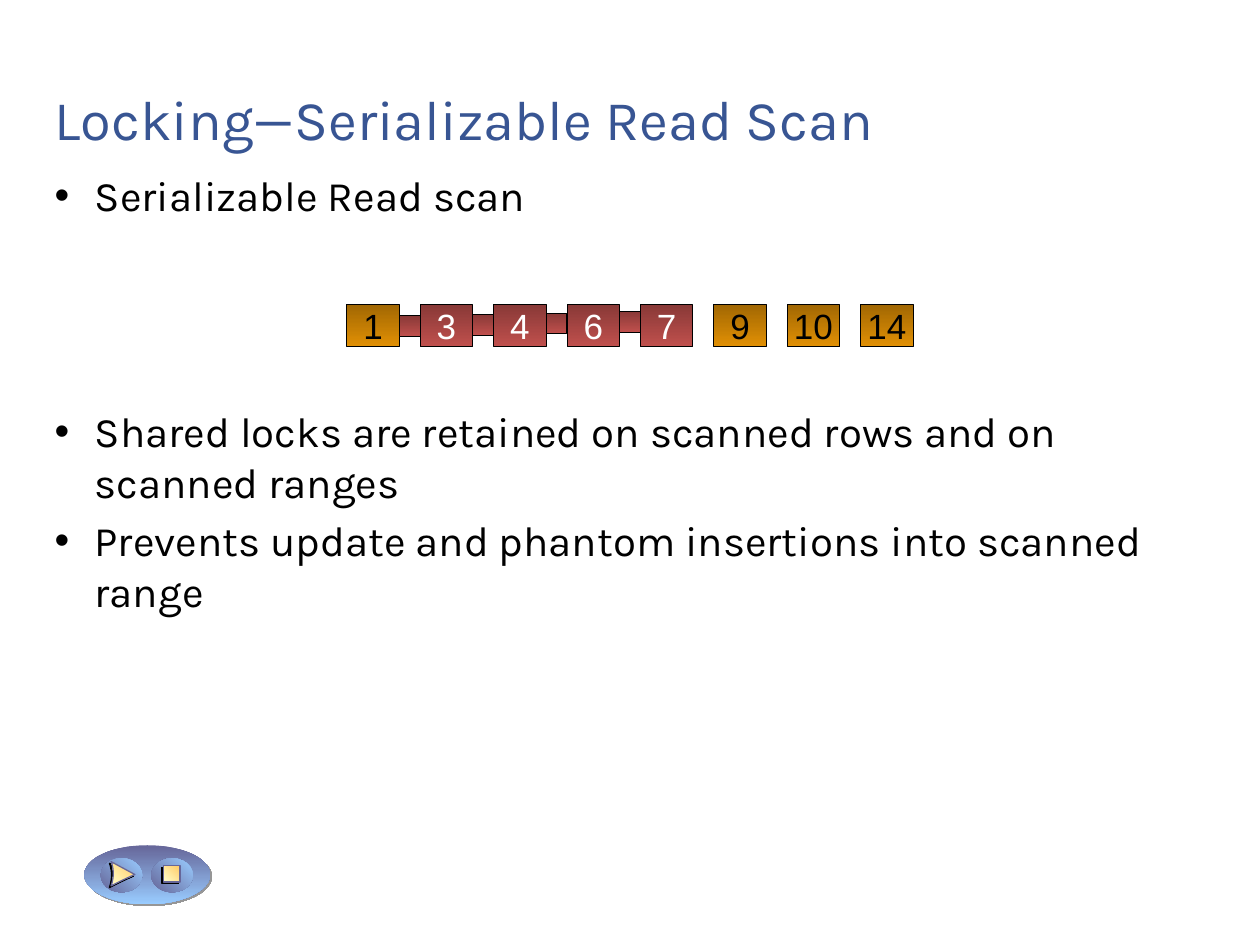
from dataclasses import dataclass

from lxml import etree
from pptx import Presentation
from pptx import util as u
from pptx.dml.color import RGBColor
from pptx.enum import shapes, text
from pptx.oxml import ns

RECT, OVAL = shapes.MSO_SHAPE.RECTANGLE, shapes.MSO_SHAPE.OVAL


@dataclass(frozen=True)
class Gradient:
    start: str
    end: str
    clockwise_angle: int = 90


@dataclass(frozen=True)
class Shadow:
    color: str
    direction: int


@dataclass(frozen=True)
class Box:
    left: float
    top: float
    width: float
    height: float

    def lengths(self) -> list:
        return [u.Cm(v) for v in (self.left, self.top, self.width, self.height)]


@dataclass(frozen=True)
class Row:
    key: str
    locked: bool


@dataclass(frozen=True)
class Bullet:
    words: str
    space_before: float


GOLD = Gradient("A16703", "E19004")
RED = Gradient("893937", "C0504D")
PANEL = Gradient("666699", "99CCFF")
BUTTON = Gradient("666699", "99CCFF", 315)
SYMBOL = Gradient("FFFFCC", "FFCC66", 315)
SYMBOL_SHADOW = Shadow("000000", 135)

ROWS = [Row("1", False), Row("3", True), Row("4", True), Row("6", True),
        Row("7", True), Row("9", False), Row("10", False), Row("14", False)]
ROW_LEFT, ROW_TOP, ROW_WIDTH, ROW_HEIGHT, ROW_PITCH = 6.99, 6.14, 1.06, 0.85, 1.48
RANGE_SIZE = 0.42

# The second bullet leaves room for the row diagram.
BULLETS = [
    Bullet("Serializable Read scan", 4.8),
    Bullet("Shared locks are retained on scanned rows and on scanned ranges", 106),
    Bullet("Prevents update and phantom insertions into scanned range", 4.8),
]


def rgb(color: str) -> RGBColor:
    return RGBColor.from_string(color)


def add_run(paragraph, words: str, font: str, size: float, color: str) -> None:
    run = paragraph.add_run()
    run.text = words
    run.font.name, run.font.size = font, u.Pt(size)
    run.font.color.rgb = rgb(color)


def style(shape, gradient: Gradient, line: str = "", width: float = 0.5,
          shadow: Shadow | None = None) -> None:
    shape.fill.gradient()
    shape.fill.gradient_angle = (360 - gradient.clockwise_angle) % 360
    for stop, color in zip(shape.fill.gradient_stops, (gradient.start, gradient.end)):
        stop.color.rgb = rgb(color)
    if line:
        shape.line.color.rgb = rgb(line)
        shape.line.width = u.Pt(width)
    else:
        shape.line.fill.background()
    shape.shadow.inherit = False
    if shadow:
        effects = shape._element.spPr.find(ns.qn("a:effectLst"))
        outer = etree.SubElement(effects, ns.qn("a:outerShdw"), blurRad="0",
                                 dist=str(u.Pt(1.4)), dir=str(shadow.direction * 60000),
                                 algn="ctr", rotWithShape="0")
        etree.SubElement(outer, ns.qn("a:srgbClr"), val=shadow.color)


def add_figure(slide, kind, box: Box, gradient: Gradient, **looks):
    shape = slide.shapes.add_shape(kind, *box.lengths())
    style(shape, gradient, **looks)
    return shape


def add_title(slide, words: str) -> None:
    title = slide.shapes.title
    title.left, title.top, title.width, title.height = Box(0.85, 0.61, 23.7, 2.57).lengths()
    frame = title.text_frame
    frame.auto_size = text.MSO_AUTO_SIZE.NONE
    frame.vertical_anchor = text.MSO_ANCHOR.BOTTOM
    frame.paragraphs[0].alignment = text.PP_ALIGN.LEFT
    add_run(frame.paragraphs[0], words, "Karla", 32, "385593")


def add_bullets(slide, box: Box, bullets: list[Bullet]) -> None:
    frame = slide.shapes.add_textbox(*box.lengths()).text_frame
    frame.word_wrap = True
    for i, bullet in enumerate(bullets):
        paragraph = frame.add_paragraph() if i else frame.paragraphs[0]
        paragraph.space_before = u.Pt(bullet.space_before)
        properties = paragraph._p.get_or_add_pPr()
        properties.set("marL", str(u.Cm(0.81)))
        properties.set("indent", str(-u.Cm(0.81)))
        etree.SubElement(properties, ns.qn("a:buFont"), typeface="Arial")
        etree.SubElement(properties, ns.qn("a:buChar"), char="•")
        add_run(paragraph, bullet.words, "Karla", 24, "000000")


def add_row(slide, position: int, row: Row) -> None:
    """Draw one row and, when it is locked, the locked range before it."""
    left = ROW_LEFT + position * ROW_PITCH
    cell = add_figure(slide, RECT, Box(left, ROW_TOP, ROW_WIDTH, ROW_HEIGHT),
                      RED if row.locked else GOLD, line="000000")
    frame = cell.text_frame
    frame.word_wrap = False
    frame.vertical_anchor = text.MSO_ANCHOR.MIDDLE
    frame.paragraphs[0].alignment = text.PP_ALIGN.CENTER
    add_run(frame.paragraphs[0], row.key, "Arial", 20,
            "FFFFFF" if row.locked else "000000")
    if row.locked:
        range_top = 6.4 - 0.03 * position
        add_figure(slide, RECT, Box(left - RANGE_SIZE, range_top, RANGE_SIZE, RANGE_SIZE),
                   RED, line="000000")


def bezier(a, b, c, d, steps: int = 12) -> list[tuple[int, int]]:
    """Points after a on the cubic curve from a to d, in EMU."""
    points = []
    for t in (i / steps for i in range(1, steps + 1)):
        weights = ((1 - t) ** 3, 3 * t * (1 - t) ** 2, 3 * t * t * (1 - t), t ** 3)
        points.append(tuple(u.Cm(sum(w * p[axis] for w, p in zip(weights, (a, b, c, d))))
                            for axis in (0, 1)))
    return points


def add_play_symbol(slide) -> None:
    top, bottom, tip = (2.24, 17.37), (2.24, 17.86), (2.72, 17.63)
    outline = slide.shapes.build_freeform(u.Cm(top[0]), u.Cm(top[1]))
    outline.add_line_segments(bezier(top, top, (2.34, 17.58), bottom)
                              + bezier(bottom, (2.49, 17.73), tip, tip))
    style(outline.convert_to_shape(), SYMBOL, line="666699", width=0.75,
          shadow=SYMBOL_SHADOW)


def add_controls(slide) -> None:
    add_figure(slide, OVAL, Box(1.7, 17.04, 2.54, 1.19), PANEL,
               shadow=Shadow("969696", 45))
    for left in (2.03, 3.05):
        add_figure(slide, OVAL, Box(left, 17.3, 0.84, 0.69), BUTTON)
    add_play_symbol(slide)
    add_figure(slide, RECT, Box(3.3, 17.45, 0.33, 0.33), SYMBOL, line="666699",
               width=0.75, shadow=SYMBOL_SHADOW)


def main() -> None:
    deck = Presentation()
    deck.slide_width, deck.slide_height = u.Cm(25.4), u.Cm(19.05)
    slide = deck.slides.add_slide(deck.slide_layouts[5])
    add_title(slide, "Locking—Serializable Read Scan")
    add_bullets(slide, Box(0.85, 3.3, 23.7, 14.35), BULLETS)
    for position, row in enumerate(ROWS):
        add_row(slide, position, row)
    add_controls(slide)
    deck.save("out.pptx")


if __name__ == "__main__":
    main()
